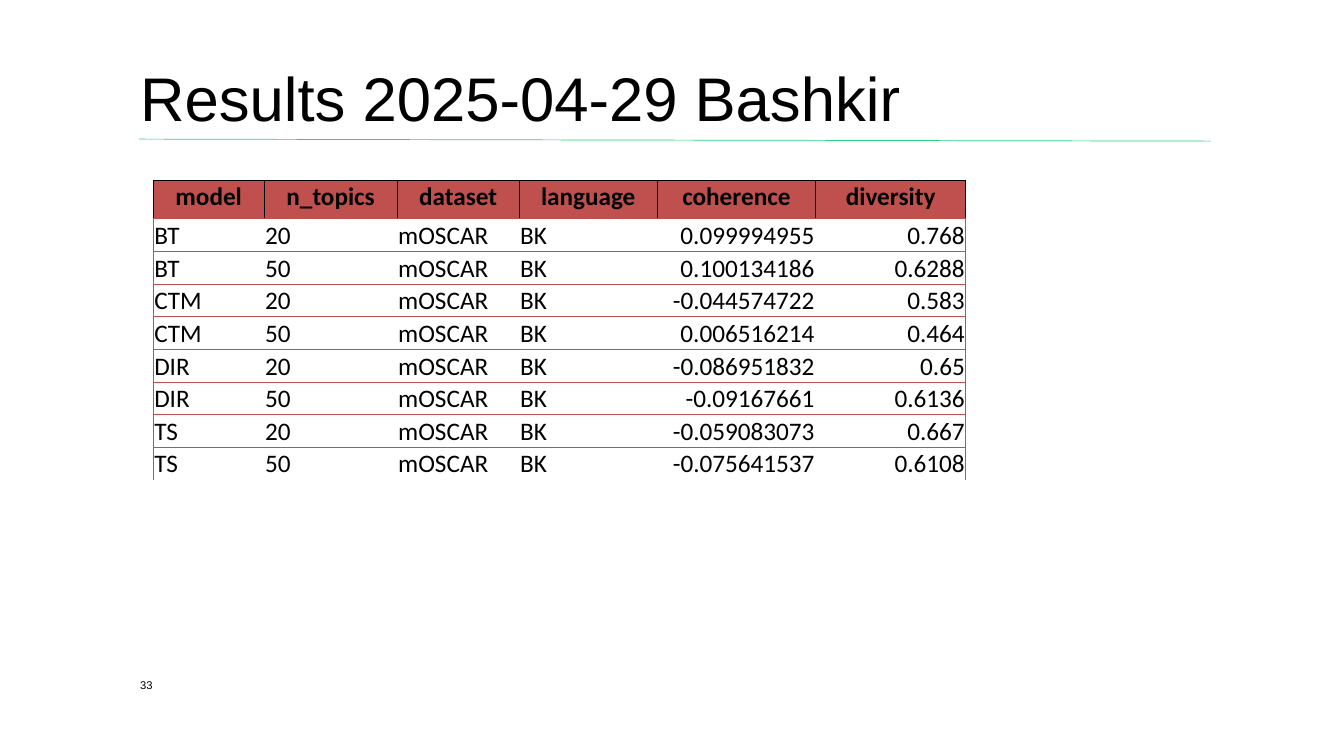
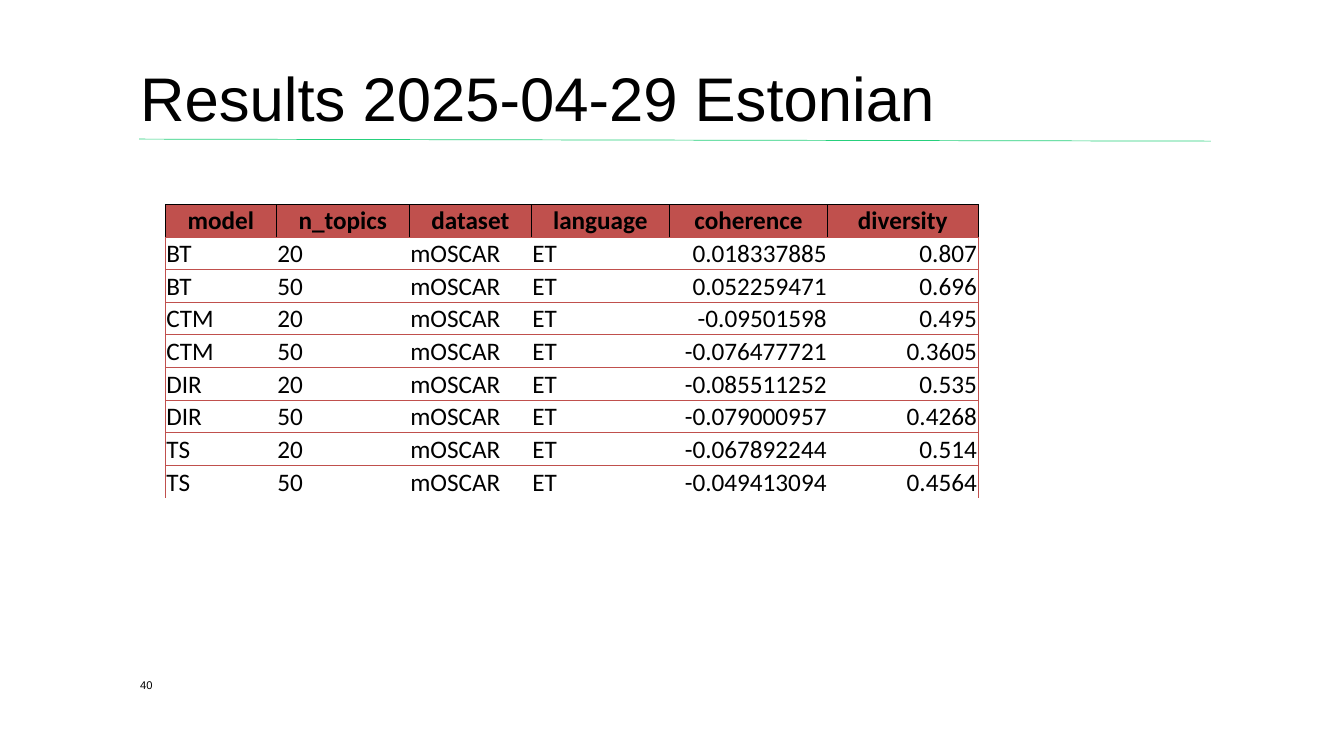
from dataclasses import dataclass
from lxml.etree import SubElement
from pptx import Presentation
from pptx.dml.color import RGBColor
from pptx.enum.shapes import MSO_CONNECTOR
from pptx.enum.text import MSO_ANCHOR, MSO_AUTO_SIZE, PP_ALIGN
from pptx.oxml import parse_xml
from pptx.oxml.ns import nsdecls, qn
from pptx.util import Inches, Pt


@dataclass(frozen=True)
class Theme:
    """Colours, fonts, sizes and shared places of the deck."""
    text: str = "000000"
    accent: str = "C0504D"
    rule: str = "26D07C"
    heading_font: str = "Arial"
    table_font: str = "Calibri"
    title_size: float = 44
    table_size: float = 18
    number_size: float = 8
    line_width: float = 0.5
    title_box: tuple = (1.39, 0.4, 10.62, 0.94)
    rule_ends: tuple = (1.38, 1.38, 12.01, 1.4)
    number_box: tuple = (1.39, 6.6, 0.5, 0.26)


THEME = Theme()
PLAIN_TABLE_STYLE = "{2D5ABB26-0587-4C30-8999-92F81FD0307C}"
HEADINGS = ("model", "n_topics", "dataset", "language", "coherence", "diversity")
COLUMN_WIDTHS = (1.1, 1.32, 1.21, 1.37, 1.57, 1.49)
ALIGNMENTS = (PP_ALIGN.LEFT,) * 4 + (PP_ALIGN.RIGHT,) * 2
RUNS = [(model, topics) for model in ("BT", "CTM", "DIR", "TS") for topics in ("20", "50")]

BASHKIR_SCORES = (
    ("0.099994955", "0.768"), ("0.100134186", "0.6288"),
    ("-0.044574722", "0.583"), ("0.006516214", "0.464"),
    ("-0.086951832", "0.65"), ("-0.09167661", "0.6136"),
    ("-0.059083073", "0.667"), ("-0.075641537", "0.6108"),
)
ESTONIAN_SCORES = (
    ("0.018337885", "0.807"), ("0.052259471", "0.696"),
    ("-0.09501598", "0.495"), ("-0.076477721", "0.3605"),
    ("-0.085511252", "0.535"), ("-0.079000957", "0.4268"),
    ("-0.067892244", "0.514"), ("-0.049413094", "0.4564"),
)


def write(frame, text, *, size, font=THEME.heading_font, bold=False,
          align=PP_ALIGN.LEFT, spacing=None):
    """Put one formatted paragraph into a text frame."""
    paragraph = frame.paragraphs[0]
    paragraph.alignment = align
    if spacing:
        paragraph.line_spacing = spacing
    run = paragraph.add_run()
    run.text = text
    run.font.name = font
    run.font.size = Pt(size)
    run.font.bold = bold
    run.font.color.rgb = RGBColor.from_string(THEME.text)


def fit_frame(frame):
    """Make a text frame wrap, sit at the bottom and lose its margins."""
    frame.word_wrap = True
    frame.auto_size = MSO_AUTO_SIZE.NONE
    frame.vertical_anchor = MSO_ANCHOR.BOTTOM
    frame.margin_left = frame.margin_right = frame.margin_top = frame.margin_bottom = 0


def add_title(slide, text, box):
    """Place the slide title in its placeholder."""
    title = slide.shapes.title
    title.left, title.top, title.width, title.height = map(Inches, box)
    fit_frame(title.text_frame)
    write(title.text_frame, text, size=THEME.title_size, spacing=0.9)


def add_rule(slide, ends):
    """Draw the thin rule under the title."""
    rule = slide.shapes.add_connector(MSO_CONNECTOR.STRAIGHT, *map(Inches, ends))
    rule.line.color.rgb = RGBColor.from_string(THEME.rule)
    rule.line.width = Pt(THEME.line_width)
    SubElement(rule.element.spPr, qn("a:effectLst"))


def add_page_number(slide, number, box):
    """Place the page number at the foot."""
    page_number = slide.shapes.add_textbox(*map(Inches, box))
    fit_frame(page_number.text_frame)
    write(page_number.text_frame, number, size=THEME.number_size)


def set_borders(cell, colours):
    """Draw cell borders from a mapping of side (L, R, T, B) to colour."""
    properties = cell._tc.get_or_add_tcPr()
    sides = [side for side in "LRTB" if side in colours]
    for index, side in enumerate(sides):
        properties.insert(index, parse_xml(
            f'<a:ln{side} {nsdecls("a")} w="{Pt(THEME.line_width)}"><a:solidFill>'
            f'<a:srgbClr val="{colours[side]}"/></a:solidFill></a:ln{side}>'))


def body_borders(row, column, last_row, last_column):
    """Return the borders of a body cell: row lines and the outer sides."""
    sides = "T"
    if row < last_row:
        sides += "B"
    if column == 0:
        sides += "L"
    if column == last_column:
        sides += "R"
    return dict.fromkeys(sides, THEME.accent)


def format_cell(cell, text, *, header, align, borders):
    """Fill, border and write one table cell."""
    cell.margin_left = cell.margin_right = cell.margin_top = Inches(0.01)
    cell.margin_bottom = 0
    cell.vertical_anchor = MSO_ANCHOR.TOP if header else MSO_ANCHOR.BOTTOM
    if header:
        cell.fill.solid()
        cell.fill.fore_color.rgb = RGBColor.from_string(THEME.accent)
    else:
        cell.fill.background()
    set_borders(cell, borders)
    write(cell.text_frame, text, size=THEME.table_size, font=THEME.table_font,
          bold=header, align=align)


def add_results_table(slide, language, scores, box, header_height):
    """Place the results table, sharing the height below its header equally."""
    rows = [HEADINGS] + [(*run, "mOSCAR", language, *score)
                         for run, score in zip(RUNS, scores)]
    last_row, last_column = len(rows) - 1, len(HEADINGS) - 1
    frame = slide.shapes.add_table(len(rows), len(HEADINGS), *map(Inches, box))
    results = frame.table
    results.first_row = results.horz_banding = False
    next(frame.element.iter(qn("a:tableStyleId"))).text = PLAIN_TABLE_STYLE
    for column, width in zip(results.columns, COLUMN_WIDTHS):
        column.width = Inches(width)
    row_height = (box[3] - header_height) / last_row
    header_borders = {**dict.fromkeys("LRT", THEME.text), "B": THEME.accent}
    for row, values in enumerate(rows):
        header = row == 0
        results.rows[row].height = Inches(header_height if header else row_height)
        for column, value in enumerate(values):
            format_cell(
                results.cell(row, column), value, header=header,
                align=PP_ALIGN.CENTER if header else ALIGNMENTS[column],
                borders=header_borders if header
                else body_borders(row, column, last_row, last_column))


def add_results_slide(deck, title, number, language, scores, box, header_height):
    """Build one slide of results for a language."""
    slide = deck.slides.add_slide(deck.slide_layouts[5])
    add_rule(slide, THEME.rule_ends)
    add_title(slide, title, THEME.title_box)
    add_page_number(slide, number, THEME.number_box)
    add_results_table(slide, language, scores, box, header_height)


def main():
    """Build and save the deck."""
    deck = Presentation()
    deck.slide_width, deck.slide_height = Inches(13.33), Inches(7.5)
    add_results_slide(deck, "Results 2025-04-29 Bashkir", "33", "BK", BASHKIR_SCORES,
                      box=(1.52, 1.79, 8.06, 2.97), header_height=0.38)
    add_results_slide(deck, "Results 2025-04-29 Estonian", "40", "ET", ESTONIAN_SCORES,
                      box=(1.64, 2.03, 8.06, 2.91), header_height=0.32)
    deck.save("out.pptx")


if __name__ == "__main__":
    main()
